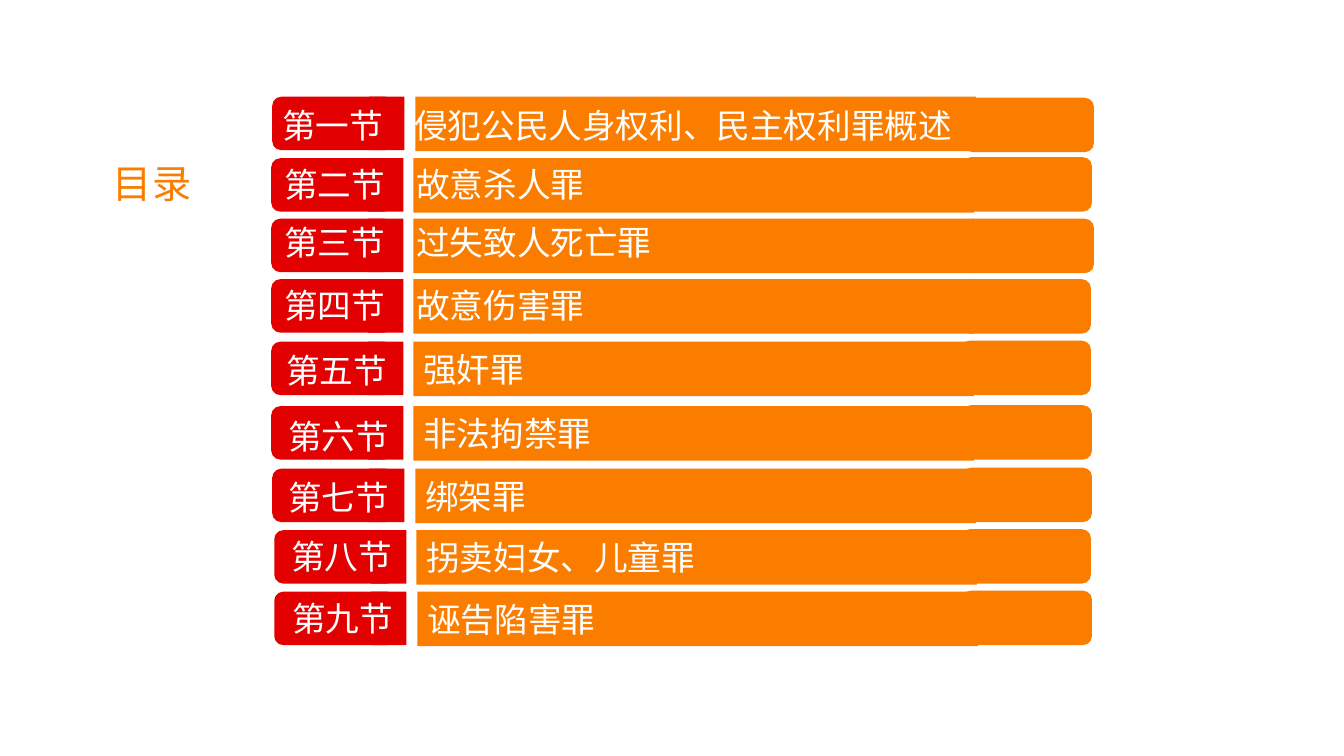
"""Build a contents slide with nine section bars."""
from pptx import Presentation
from pptx.dml.color import RGBColor as Rgb
from pptx.enum.shapes import MSO_SHAPE as Shape
from pptx.enum.text import MSO_ANCHOR as Anchor, PP_ALIGN as Align
from pptx.oxml.ns import qn
from lxml.etree import SubElement as Sub

PX = 9144
FONT = "Noto Sans CJK SC"
HUES = {"red": "E20000", "orange": "FA7D00", "white": "FFFFFF"}


def write(box, text, size=24, hue="white", anchor=Anchor.TOP, wrap=True, tab=0):
    frame = box.text_frame
    frame.word_wrap = wrap
    frame.vertical_anchor = anchor
    para = frame.paragraphs[0]
    para.text = text
    para.alignment = Align.LEFT
    if tab:
        stops = Sub(para._p.get_or_add_pPr(), qn("a:tabLst"))
        Sub(stops, qn("a:tab"), pos=str(tab * PX), algn="l")
    font = para.runs[0].font
    font.size = size * 12700
    font.color.rgb = Rgb.from_string(HUES[hue])
    font.name = FONT
    Sub(para.runs[0]._r.get_or_add_rPr(), qn("a:ea"), typeface=FONT)


def block(shapes, kind, hue, *spot):
    item = shapes.add_shape(kind, *(n * PX for n in spot))
    item.shadow.inherit = False
    item.fill.solid()
    item.fill.fore_color.rgb = Rgb.from_string(HUES[hue])
    item.line.fill.background()
    return item


deck = Presentation()
deck.slide_width, deck.slide_height = 1333 * PX, 750 * PX
slide = deck.slides.add_slide(deck.slide_layouts[5])
title = slide.shapes.title
title.left, title.top, title.width, title.height = (n * PX for n in (102, 153, 99, 57))
write(title, "目录", size=28, hue="orange", wrap=False)

# left, top, bar left, cap left, cap top, label left, label top, label width
rows = [
    ("第一节", "侵犯公民人身权利、民主权利罪概述", 270, 96, 412, 956, 97, 270, 99, 794),
    ("第二节", "故意杀人罪", 269, 157, 410, 954, 156, 272, 158, 329),
    ("第三节", "过失致人死亡罪", 269, 217, 410, 956, 217, 272, 215, 397),
    ("第四节", "故意伤害罪", 269, 277, 410, 953, 277, 272, 278, 339),
    ("第五节", "强奸罪", 269, 339, 410, 953, 338, 274, 342, 124),
    ("第六节", "非法拘禁罪", 269, 403, 410, 954, 402, 276, 408, 124),
    ("第七节", "绑架罪", 270, 465, 412, 954, 464, 276, 468, 124),
    ("第八节", "拐卖妇女、儿童罪", 272, 526, 413, 953, 525, 279, 527, 124),
    ("第九节", "诬告陷害罪", 272, 587, 414, 954, 586, 280, 588, 124),
]
for label, topic, left, top, start, end, rise, x, y, wide in rows:
    block(slide.shapes, Shape.ROUNDED_RECTANGLE, "orange", end, rise, 129, 54)
    group = slide.shapes.add_group_shape().shapes
    block(group, Shape.ROUNDED_RECTANGLE, "red", left, top, 121, 53)
    block(group, Shape.RECTANGLE, "red", left + 96, top, 35, 53)
    bar = block(group, Shape.RECTANGLE, "orange", start, top, 556, 54)
    box = slide.shapes.add_textbox(x * PX, y * PX, wide * PX, 50 * PX)
    if wide > 124:
        write(box, f"{label}\t{topic}", tab=131)
    else:
        write(box, label)
        write(bar, topic, anchor=Anchor.MIDDLE)

deck.save("out.pptx")
